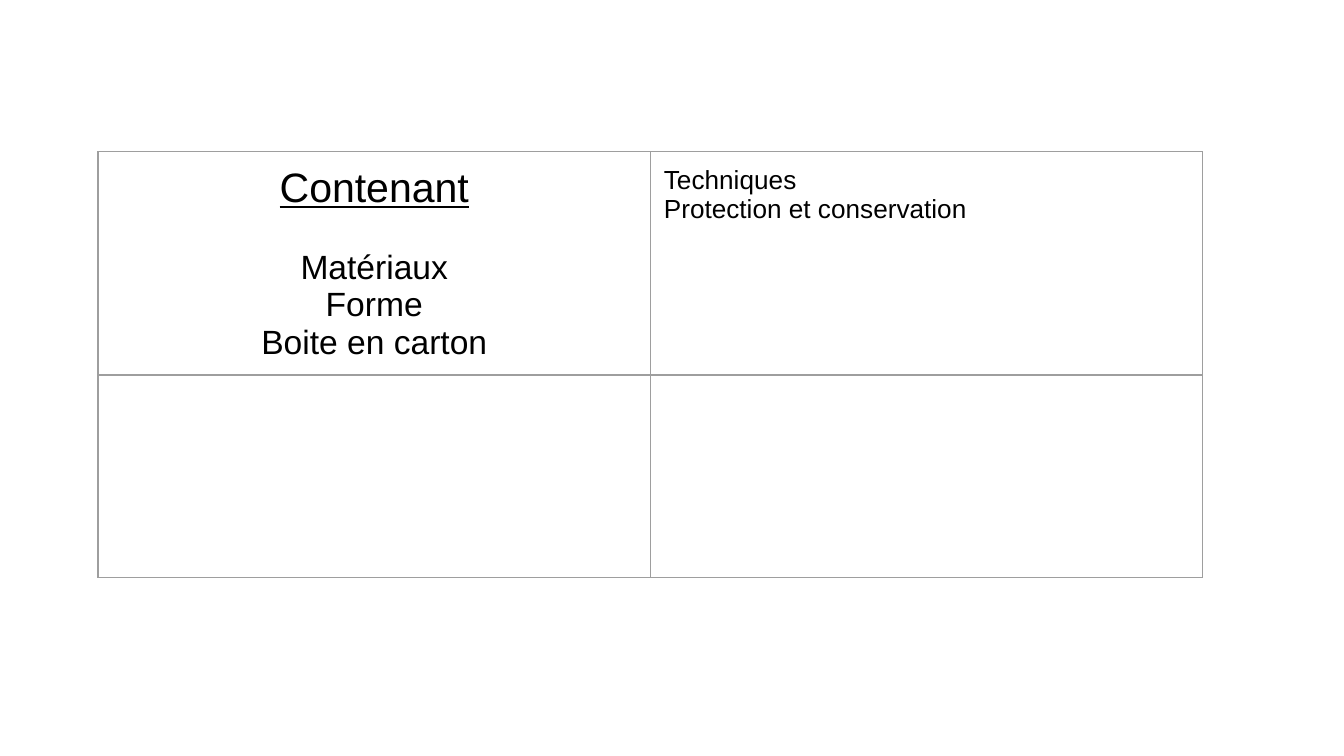
"""Build a slide with a two-by-two table about containers and conservation."""
from lxml import etree
from pptx import Presentation
from pptx import util as u
from pptx.dml.color import RGBColor
from pptx.enum import text
from pptx.oxml.ns import qn

BORDER_COLOUR = "9E9E9E"
TEXT_COLOUR = "000000"


def colour(value):
    """Return the colour for a hex string."""
    return RGBColor.from_string(value)


def add_borders(cell):
    """Draw a thin line on each side of a cell."""
    properties = cell._tc.get_or_add_tcPr()
    for side in ("lnL", "lnR", "lnT", "lnB"):
        line = etree.SubElement(properties, qn(f"a:{side}"), w=str(u.Pt(0.75)))
        fill = etree.SubElement(line, qn("a:solidFill"))
        etree.SubElement(fill, qn("a:srgbClr"), val=str(colour(BORDER_COLOUR)))


def style_cell(cell):
    """Give a cell its margins, borders and clear fill."""
    cell.margin_left = cell.margin_right = u.Inches(0.1)
    cell.margin_top = cell.margin_bottom = u.Inches(0.1)
    add_borders(cell)
    cell.fill.background()


def write_lines(cell, lines, size, alignment):
    """Write one paragraph per line in a cell."""
    cell.text = "\n".join(lines)
    for paragraph in cell.text_frame.paragraphs:
        paragraph.alignment = alignment
        paragraph.font.name = "Arial"
        paragraph.font.size = u.Pt(size)
        paragraph.font.color.rgb = colour(TEXT_COLOUR)


def style_heading(paragraph):
    """Make a paragraph a large underlined heading with a gap below."""
    paragraph.font.size = u.Pt(22)
    paragraph.font.underline = True
    paragraph.space_after = u.Pt(20)


def add_grid(slide, left, top, column_width, row_height, count):
    """Add a plain bordered square table and return it."""
    shape = slide.shapes.add_table(
        count, count, u.Inches(left), u.Inches(top),
        u.Inches(count * column_width), u.Inches(count * row_height))
    table = shape.table
    table.first_row = table.horz_banding = False
    for cell in table.iter_cells():
        style_cell(cell)
    return table


def main():
    """Build and save the presentation."""
    presentation = Presentation()
    presentation.slide_width = u.Inches(10)
    presentation.slide_height = u.Inches(10 * 9 / 16)
    slide = presentation.slides.add_slide(presentation.slide_layouts[6])

    table = add_grid(slide, 0.73, 1.13, 4.11, 1.51, 2)
    container = table.cell(0, 0)
    write_lines(container, ["Contenant", "Matériaux", "Forme", "Boite en carton"],
                18, text.PP_ALIGN.CENTER)
    style_heading(container.text_frame.paragraphs[0])
    write_lines(table.cell(0, 1), ["Techniques", "Protection et conservation"],
                14, text.PP_ALIGN.LEFT)

    presentation.save("out.pptx")


if __name__ == "__main__":
    main()
